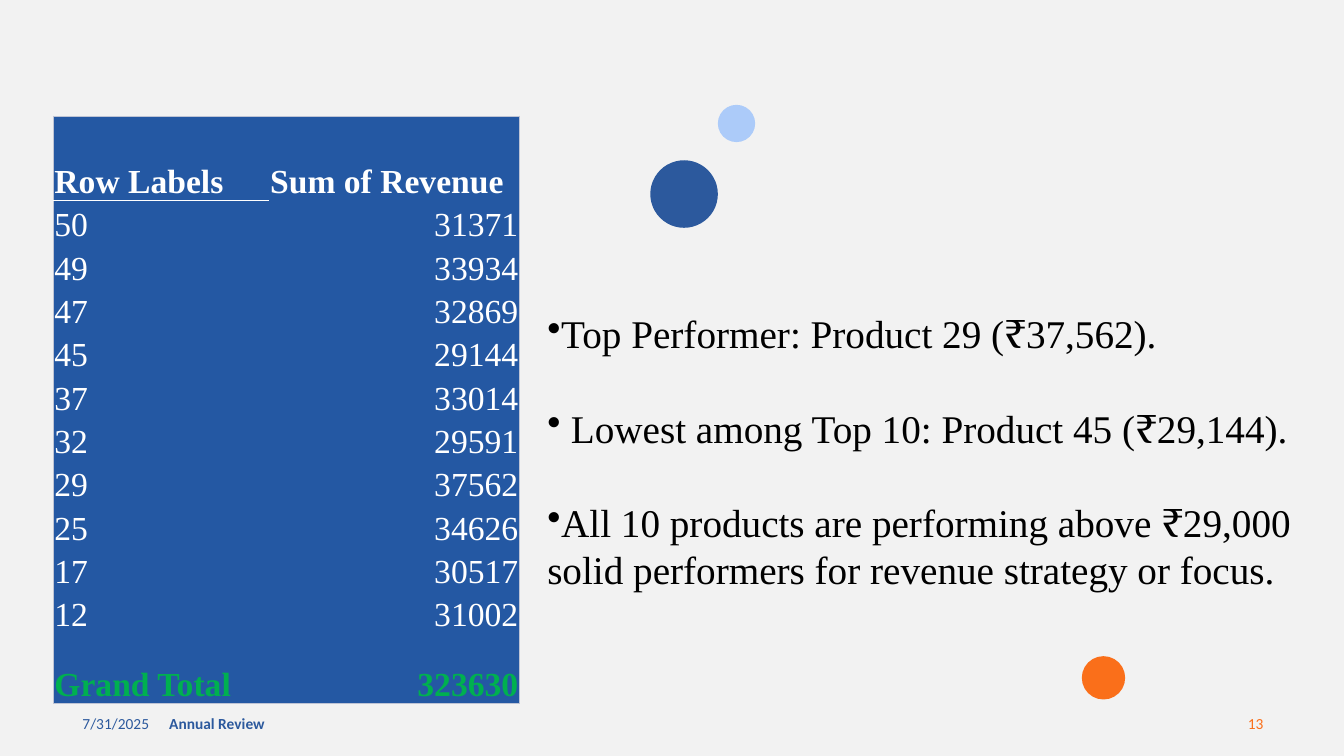
from pptx import Presentation
from pptx.util import Inches, Pt
from pptx.dml.color import RGBColor as RGB
from pptx.enum.shapes import MSO_SHAPE as Shape
from pptx.enum.text import MSO_ANCHOR as Anchor, PP_ALIGN as Align
from pptx.oxml import parse_xml
from pptx.oxml.ns import nsdecls, qn

HUES = {
    "page": "F2F2F2", "navy": "2C599D", "orange": "FA6F1A", "sky": "ACCBF9",
    "cell": "2458A3", "edge": "BEC4D5", "white": "FFFFFF", "green": "00B050",
    "black": "000000",
}
SERIF = "Times New Roman"
PLAIN = "{2D5ABB26-0587-4C30-8999-92F81FD0307C}"


class Deck:
    def __init__(self):
        self.prs = Presentation()
        self.prs.slide_width = Inches(13.33)
        self.prs.slide_height = Inches(7.5)
        self.slide = self.prs.slides.add_slide(self.prs.slide_layouts[6])
        self.paint(self.slide.background.fill, "page")

    def paint(self, fill, hue):
        fill.solid()
        fill.fore_color.rgb = RGB.from_string(HUES[hue])

    def words(self, para, text, hue, size, name=SERIF, bold=False, align=Align.LEFT):
        run = para.add_run()
        run.text = text
        para.alignment = align
        form = {"name": name, "size": Pt(size), "bold": bold}
        for key, val in form.items():
            setattr(run.font, key, val)
        run.font.color.rgb = RGB.from_string(HUES[hue])

    def frame(self, *box):
        frame = self.slide.shapes.add_textbox(*map(Inches, box)).text_frame
        frame.word_wrap = True
        frame.vertical_anchor = Anchor.MIDDLE
        return frame

    def label(self, left, width, text, hue, **form):
        para = self.frame(left, 6.98, width, 0.4).paragraphs[0]
        self.words(para, text, hue, 11, "Calibri", **form)

    def dot(self, left, top, size, hue):
        dot = self.slide.shapes.add_shape(
            Shape.OVAL, *map(Inches, (left, top, size, size)))
        dot.shadow.inherit = False
        self.paint(dot.fill, hue)
        dot.line.fill.background()

    def points(self, box, lines):
        frame = self.frame(*box)
        for num, text in enumerate(lines):
            para = frame.add_paragraph() if num else frame.paragraphs[0]
            props = para._p.get_or_add_pPr()
            props.append(parse_xml(f'<a:buChar {nsdecls("a")} char="•"/>'))
            if num:
                para.space_before = Pt(34)
            self.words(para, text, "black", 28)

    def edges(self, cell, sides):
        props = cell._tc.get_or_add_tcPr()
        kept = [side for side in "LRTB" if side in sides]
        for num, side in enumerate(kept):
            hue, width = sides[side]
            props.insert(num, parse_xml(
                f'<a:ln{side} {nsdecls("a")} w="{Pt(width)}"><a:solidFill>'
                f'<a:srgbClr val="{HUES[hue]}"/></a:solidFill></a:ln{side}>'))

    def table(self, box, cols, highs, rows):
        table = self.slide.shapes.add_table(
            len(rows), len(cols), *map(Inches, box)).table
        table._tbl.tblPr.find(qn("a:tableStyleId")).text = PLAIN
        table.first_row = table.horz_banding = False
        for col, width in zip(table.columns, cols):
            col.width = Inches(width)
        last = len(rows) - 1
        pad = {"margin_left": Inches(0.01), "margin_right": Inches(0.01),
               "margin_top": Inches(0.01), "margin_bottom": 0,
               "vertical_anchor": Anchor.BOTTOM}
        thin = ("edge", 0.5)
        for r, row in enumerate(rows):
            table.rows[r].height = Inches(highs[r])
            for c, text in enumerate(row):
                cell = table.cell(r, c)
                for key, val in pad.items():
                    setattr(cell, key, val)
                self.paint(cell.fill, "cell")
                sides = {"R" if c else "L": thin}
                if r == 0:
                    sides["T"] = thin
                    if c == 0:
                        sides["B"] = ("white", 1.5)
                if r == last:
                    sides["B"] = thin
                self.edges(cell, sides)
                self.words(cell.text_frame.paragraphs[0], text,
                           "green" if r == last else "white", 24,
                           bold=r in (0, last),
                           align=Align.RIGHT if r and c else Align.LEFT)


def main():
    deck = Deck()
    deck.label(0.72, 3, "7/31/2025", "navy")
    deck.label(1.58, 4.5, "Annual Review", "navy", bold=True)
    deck.label(9.63, 3, "13", "orange", align=Align.RIGHT)
    deck.dot(6.45, 1.59, 0.67, "navy")
    deck.dot(10.73, 6.51, 0.43, "orange")
    deck.dot(7.12, 1.04, 0.37, "sky")
    sums = {50: 31371, 49: 33934, 47: 32869, 45: 29144, 37: 33014,
            32: 29591, 29: 37562, 25: 34626, 17: 30517, 12: 31002}
    rows = [("Row Labels", "Sum of Revenue")]
    rows += [(str(key), str(val)) for key, val in sums.items()]
    rows.append(("Grand Total", str(sum(sums.values()))))
    highs = [0.84] + [0.43] * len(sums) + [0.69]
    deck.table((0.53, 1.15, 4.62, 5.79), (2.14, 2.48), highs, rows)
    deck.points((5.33, 3.01, 8, 2.93), (
        "Top Performer: Product 29 (₹37,562).",
        " Lowest among Top 10: Product 45 (₹29,144).",
        "All 10 products are performing above ₹29,000 solid performers "
        "for revenue strategy or focus.",
    ))
    deck.prs.save("out.pptx")


if __name__ == "__main__":
    main()
